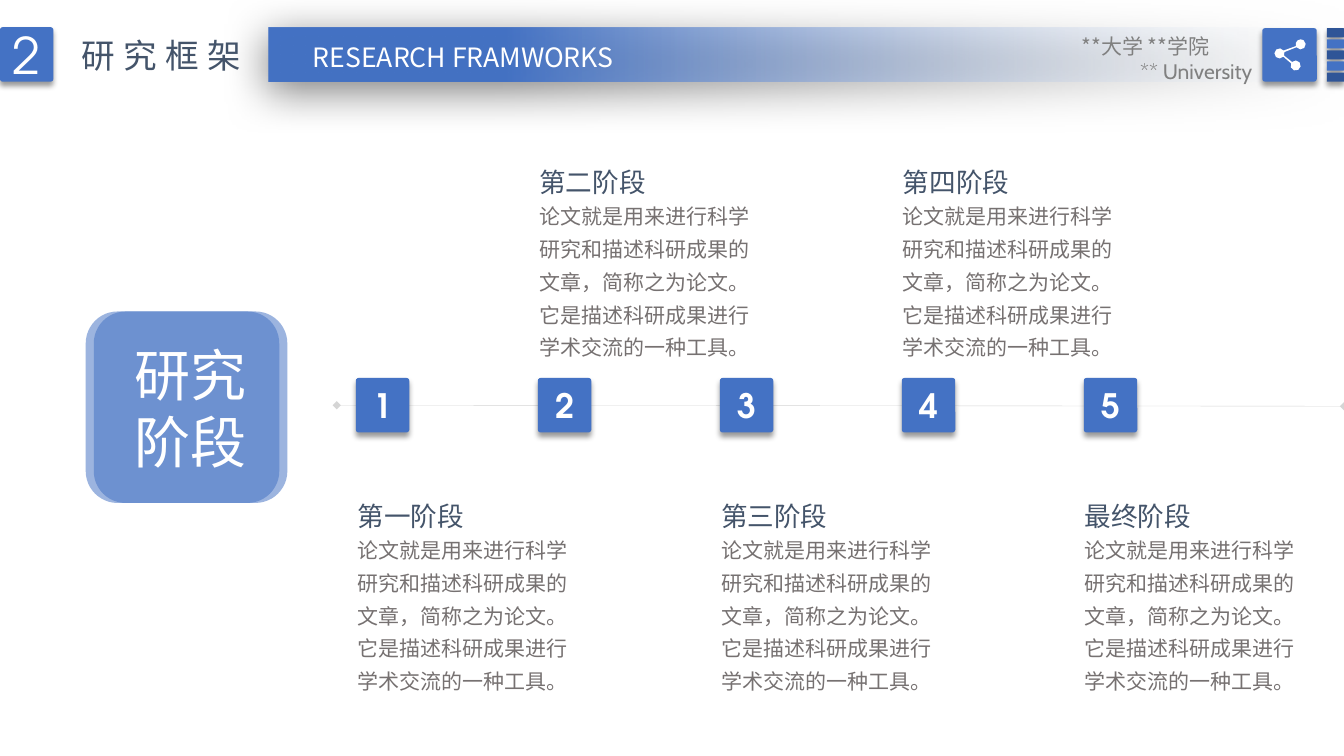
from math import cos, radians, sin

from lxml.etree import SubElement
from pptx import Presentation
from pptx.dml.color import RGBColor
from pptx.enum.shapes import MSO_CONNECTOR as Connector, MSO_SHAPE as Shape
from pptx.enum.text import MSO_ANCHOR as Anchor, MSO_AUTO_SIZE as AutoSize, PP_ALIGN as Align
from pptx.oxml.ns import qn
from pptx.util import Inches, Pt

BLUE = RGBColor(0x44, 0x72, 0xC4)
DARK_BLUE = RGBColor(0x2F, 0x55, 0x97)
PALE_BLUE = RGBColor(0xF7, 0xFA, 0xFD)
SLATE = RGBColor(0x44, 0x54, 0x6A)
BODY_GRAY = RGBColor(0x76, 0x71, 0x71)
GRAY = RGBColor(0x80, 0x80, 0x80)
WHITE = RGBColor(0xFF, 0xFF, 0xFF)

CHINESE = "Noto Sans CJK SC"
GEOMETRIC = "TeX Gyre Adventor"
TILE_SHADOW = (40, 4, 3, 90)
BANNER_SHADOW = (50, 31, 6, 97)
TILE_SIZE = (0.53, 0.54)

STAGES = ["第一阶段", "第二阶段", "第三阶段", "第四阶段", "最终阶段"]
STAGE_TEXT = (
    "论文就是用来进行科学研究和描述科研成果的文章，简称之为论文。"
    "它是描述科研成果进行学术交流的一种工具。"
)
TILE_LEFT, TILE_STEP = 3.53, 7.22 / 4
TEXT_LEFT, TEXT_STEP = 3.45, 7.21 / 4
TEXT_TOPS = [(4.82, 5.21), (1.5, 1.9)]

SHARE_ARCS = [
    (12.9, 0.44, 90, 200, 3),
    (12.69, 0.53, 35, 320, 6),
    (12.85, 0.65, 155, 495, 7),
    (12.69, 0.53, 335, 375, 1),
    (12.9, 0.44, 215, 415, 4),
]


def set_attributes(target, values):
    """Set each named value on the target."""
    for name, value in values.items():
        setattr(target, name, value)


def set_opacity(element, percent):
    """Give the first colour inside an element an opacity."""
    color = next(element.iter(qn("a:srgbClr")))
    SubElement(color, qn("a:alpha"), val=str(percent * 1000))


def add_shadow(shape, opacity, blur, distance, angle):
    """Cast an outer black shadow from a shape."""
    effects = shape.element.spPr.find(qn("a:effectLst"))
    shadow = SubElement(
        effects, qn("a:outerShdw"), blurRad=str(Pt(blur)), dist=str(Pt(distance)),
        dir=str(angle * 60000), algn="t", rotWithShape="0",
    )
    SubElement(shadow, qn("a:srgbClr"), val="000000")
    set_opacity(shadow, opacity)


def write_text(shape, lines, size, color, font=CHINESE, bold=False,
               align=Align.LEFT, spacing=1.0, tracking=0):
    """Write formatted paragraphs into a shape."""
    frame = shape.text_frame
    for index, line in enumerate(lines):
        paragraph = frame.add_paragraph() if index else frame.paragraphs[0]
        set_attributes(paragraph, {"alignment": align, "line_spacing": spacing})
        run = paragraph.add_run()
        run.text = line
        set_attributes(run.font, {"name": font, "size": Pt(size), "bold": bold})
        run.font.color.rgb = color
        properties = run.font._element
        SubElement(properties, qn("a:ea"), typeface=font)
        if tracking:
            properties.set("spc", str(tracking * 100))


def add_box(slide, kind, left, top, width, height, color, shadow=None):
    """Add a filled shape without an outline."""
    shape = slide.shapes.add_shape(
        kind, Inches(left), Inches(top), Inches(width), Inches(height))
    shape.shadow.inherit = False
    shape.fill.solid()
    shape.fill.fore_color.rgb = color
    shape.line.fill.background()
    shape.text_frame.vertical_anchor = Anchor.MIDDLE
    if shadow:
        add_shadow(shape, *shadow)
    return shape


def add_tile(slide, left, top, size=TILE_SIZE, color=BLUE):
    """Add a shadowed tile with slightly rounded corners."""
    tile = add_box(slide, Shape.ROUNDED_RECTANGLE, left, top, *size, color, TILE_SHADOW)
    tile.adjustments[0] = 0.05
    return tile


def add_text(slide, left, top, width, height, lines, size, color, wrap=False, **style):
    """Add a text box that grows with its text."""
    box = slide.shapes.add_textbox(
        Inches(left), Inches(top), Inches(width), Inches(height))
    set_attributes(box.text_frame, {
        "word_wrap": wrap, "auto_size": AutoSize.SHAPE_TO_FIT_TEXT})
    write_text(box, lines, size, color, **style)
    return box


def add_stage_badge(slide):
    """Add the two overlapping translucent squares naming the timeline."""
    for left in (0.85, 0.93):
        badge = add_box(slide, Shape.ROUNDED_RECTANGLE, left, 3.09, 1.92, 1.9, BLUE)
        set_opacity(badge.element.spPr, 53)
    write_text(badge, ["研究", "阶段"], 40, WHITE, align=Align.CENTER)


def add_timeline(slide):
    """Add the thin axis with a diamond at both ends."""
    axis = slide.shapes.add_connector(
        Connector.STRAIGHT, Inches(3.34), Inches(4.02), Inches(13.33), Inches(4.03))
    axis.line.width = Pt(0.25)
    axis.line.color.rgb = GRAY
    properties = axis.element.spPr
    outline = properties.find(qn("a:ln"))
    set_opacity(outline, 33)
    for end in ("a:headEnd", "a:tailEnd"):
        SubElement(outline, qn(end), type="diamond")
    SubElement(properties, qn("a:effectLst"))


def add_stage(slide, index, name):
    """Add a numbered tile with its heading and description."""
    tile = add_tile(slide, TILE_LEFT + index * TILE_STEP, 3.75)
    write_text(tile, [str(index + 1)], 24, WHITE, GEOMETRIC, True, Align.CENTER)
    left = TEXT_LEFT + index * TEXT_STEP
    heading_top, body_top = TEXT_TOPS[index % 2]
    add_text(slide, left, body_top, 2.42, 1.73, [STAGE_TEXT], 15, BODY_GRAY,
             wrap=True, spacing=1.3)
    add_text(slide, left, heading_top, 1.27, 0.5, [name], 19, SLATE, spacing=1.3)


def add_banner(slide):
    """Add the header band that fades out to the right."""
    banner = add_box(slide, Shape.RECTANGLE, 2.66, 0.27, 10.67, 0.54, BLUE, BANNER_SHADOW)
    banner.fill.gradient()
    banner.fill.gradient_angle = 180
    stops = banner.fill.gradient_stops
    for stop, color, position in zip(stops, (PALE_BLUE, BLUE), (0, 0.78)):
        stop.color.rgb = color
        stop.position = position
    set_opacity(banner.element.spPr, 0)


def format_title(slide):
    """Place the slide title in the header, in front of the band."""
    title = slide.shapes.title
    set_attributes(title, {"left": Inches(0.71), "top": Inches(0.3),
                           "width": Inches(1.81), "height": Inches(0.5)})
    set_attributes(title.text_frame, {
        "word_wrap": False, "auto_size": AutoSize.SHAPE_TO_FIT_TEXT,
        "vertical_anchor": Anchor.TOP})
    write_text(title, ["研究框架"], 24, SLATE, tracking=6)
    title.element.getparent().append(title.element)


def add_share_icon(slide):
    """Add three joined dots as one outline."""
    points = []
    for x, y, start, end, steps in SHARE_ARCS:
        for step in range(steps + 1):
            angle = radians(start + (end - start) * step / steps)
            points.append((Inches(x + 0.05 * cos(angle)), Inches(y - 0.05 * sin(angle))))
    builder = slide.shapes.build_freeform(*points[0])
    builder.add_line_segments(points[1:], close=True)
    icon = builder.convert_to_shape()
    icon.shadow.inherit = False
    icon.fill.solid()
    icon.fill.fore_color.rgb = WHITE
    icon.line.fill.background()


def add_affiliation(slide):
    """Add the school and university lines in one box."""
    box = add_text(slide, 10.15, 0.28, 2.37, 0.63, ["**大学 **学院", "** University"],
                   15, GRAY, wrap=True, align=Align.RIGHT)
    school, university = box.text_frame.paragraphs
    school.alignment = Align.LEFT
    school._p.get_or_add_pPr().set("marL", str(Inches(0.48)))
    university.runs[0].font.name = "Cabin"


def add_header(slide):
    """Add the band, section number, titles and corner marks."""
    add_banner(slide)
    number = add_tile(slide, 0, 0.27)
    write_text(number, ["2"], 36, WHITE, GEOMETRIC, align=Align.CENTER)
    format_title(slide)
    add_text(slide, 2.9, 0.36, 3.39, 0.42, ["RESEARCH FRAMWORKS"], 19, WHITE,
             align=Align.CENTER)
    for row in range(5):
        color = BLUE if row % 2 else DARK_BLUE
        add_tile(slide, 13.16, 0.28 + 0.11 * row, (0.17, 0.09), color)
    add_tile(slide, 12.52, 0.28, (0.54, 0.53))
    add_share_icon(slide)
    add_affiliation(slide)


def main():
    """Build the research framework slide."""
    presentation = Presentation()
    set_attributes(presentation, {
        "slide_width": Inches(13.33), "slide_height": Inches(7.5)})
    slide = presentation.slides.add_slide(presentation.slide_layouts[5])
    add_stage_badge(slide)
    add_timeline(slide)
    for index, name in enumerate(STAGES):
        add_stage(slide, index, name)
    add_header(slide)
    presentation.save("out.pptx")


if __name__ == "__main__":
    main()
